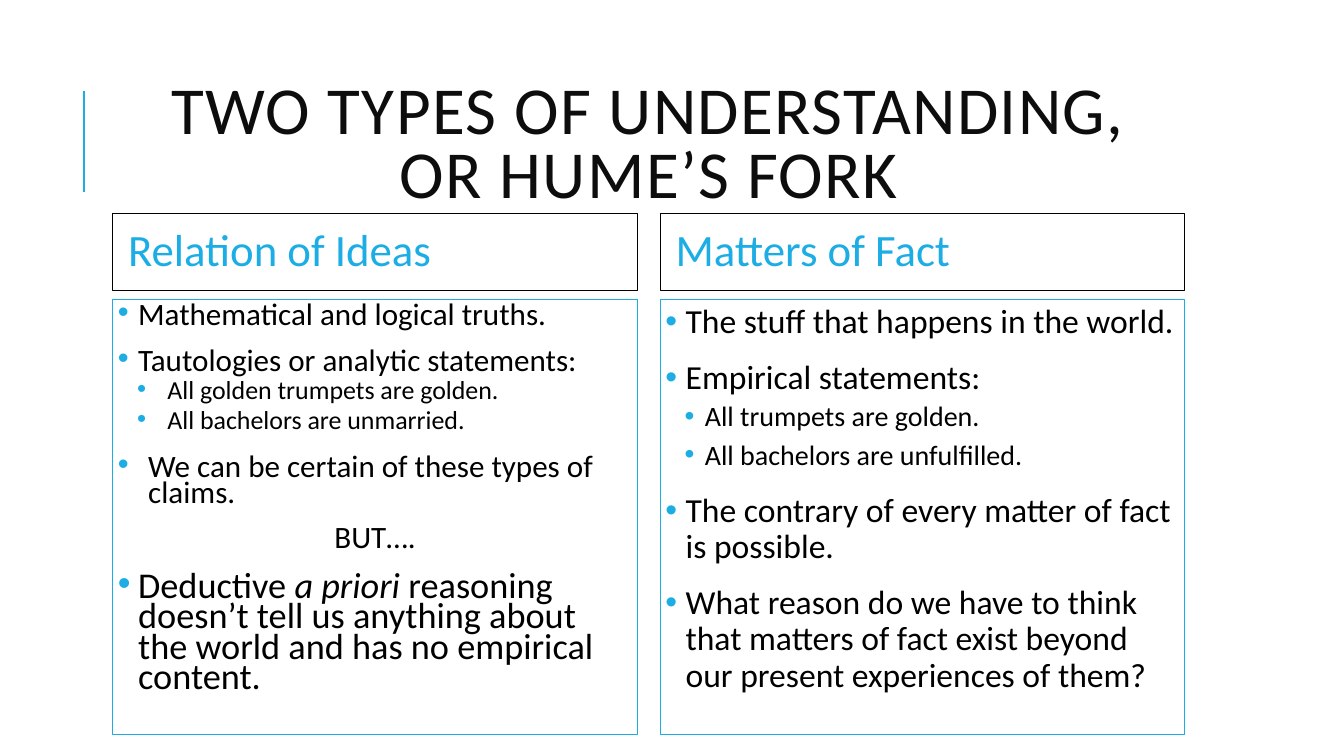
from dataclasses import dataclass
from typing import Any

import pptx
import pptx.dml.color
import pptx.enum.shapes
import pptx.enum.text
import pptx.oxml
import pptx.oxml.ns
import pptx.util

Inches = pptx.util.Inches
Pt = pptx.util.Pt
ALIGN = pptx.enum.text.PP_ALIGN
ANCHOR = pptx.enum.text.MSO_ANCHOR

FONT = "Calibri"
ACCENT = "1CADE4"
BLACK = "000000"
TITLE_COLOR = "0D0D0D"
COLUMN_LEFT = 1.12
COLUMN_STEP = 5.43
COLUMN_WIDTH = 5.2


@dataclass
class Span:
    text: str
    italic: bool = False


@dataclass
class Item:
    spans: list[Span]
    size: float
    hang: float = 0.2
    level: int = 0
    bullet: bool = True


@dataclass
class Column:
    heading: str
    line_spacing: float
    items: list[Item]


COLUMNS = [
    Column("Relation of Ideas", 0.7, [
        Item([Span("Mathematical and logical truths.")], 22.2),
        Item([Span("Tautologies or analytic statements:")], 22.2),
        Item([Span("All golden trumpets are golden.")], 18.5, hang=0.3, level=1),
        Item([Span("All bachelors are unmarried.")], 18.5, hang=0.3, level=1),
        Item([Span("We can be certain of these types of claims.")], 22.2, hang=0.3),
        Item([Span("BUT….")], 22.2, bullet=False),
        Item([
            Span("Deductive "),
            Span("a priori ", italic=True),
            Span("reasoning doesn’t tell us anything about the world "
                 "and has no empirical content."),
        ], 25.9),
    ]),
    Column("Matters of Fact", 0.9, [
        Item([Span("The stuff that happens in the world.")], 24),
        Item([Span("Empirical statements:")], 24),
        Item([Span("All trumpets are golden.")], 20, level=1),
        Item([Span("All bachelors are unfulfilled.")], 20, level=1),
        Item([Span("The contrary of every matter of fact is possible.")], 24),
        Item([Span("What reason do we have to think that matters of fact "
                   "exist beyond our present experiences of them?")], 24),
    ]),
]


def color(value: str) -> pptx.dml.color.RGBColor:
    return pptx.dml.color.RGBColor.from_string(value)


def apply(target: Any, values: dict[str, Any]) -> None:
    for name, value in values.items():
        setattr(target, name, value)


def place(box: Any, left: float, top: float, width: float, height: float,
          anchor: Any, side: float = 0.1) -> None:
    apply(box, {"left": Inches(left), "top": Inches(top),
                "width": Inches(width), "height": Inches(height)})
    apply(box.text_frame, {
        "word_wrap": True,
        "auto_size": pptx.enum.text.MSO_AUTO_SIZE.NONE,
        "vertical_anchor": anchor,
        "margin_left": Inches(side), "margin_right": Inches(side),
        "margin_top": Inches(0.05), "margin_bottom": Inches(0.05),
    })


def outline(box: Any, value: str) -> None:
    box.line.color.rgb = color(value)
    box.line.width = Pt(0.75)


def format_para(para: Any, align: Any, line_spacing: float,
                before: float = 0, after: float = 0) -> None:
    apply(para, {"alignment": align, "line_spacing": line_spacing,
                 "space_before": Pt(before), "space_after": Pt(after)})


def set_bullet(para: Any, shown: bool, margin: float = 0, hang: float = 0) -> None:
    properties = para._p.get_or_add_pPr()
    properties.set("marL", str(Inches(margin)))
    properties.set("indent", str(-Inches(hang)))
    namespace = pptx.oxml.ns.nsdecls("a")
    marks = [
        f'<a:buClr {namespace}><a:srgbClr val="{ACCENT}"/></a:buClr>',
        f'<a:buFont {namespace} typeface="Arial"/>',
        f'<a:buChar {namespace} char="•"/>',
    ] if shown else [f"<a:buNone {namespace}/>"]
    for mark in marks:
        properties.append(pptx.oxml.parse_xml(mark))


def add_span(para: Any, span: Span, size: float, value: str) -> Any:
    run = para.add_run()
    run.text = span.text
    apply(run.font, {"name": FONT, "size": Pt(size),
                     "bold": False, "italic": span.italic})
    run.font.color.rgb = color(value)
    return run


def draw_title(box: Any) -> None:
    place(box, 1.12, 0.64, 10.63, 1.64, ANCHOR.MIDDLE)
    para = box.text_frame.paragraphs[0]
    format_para(para, ALIGN.CENTER, 0.8)
    title = Span("TWO TYPES OF UNDERSTANDING, OR HUME’S FORK")
    run = add_span(para, title, 48, TITLE_COLOR)
    run.font._element.set("spc", "100")


def draw_heading(box: Any, text: str, left: float) -> None:
    place(box, left, 2.12, COLUMN_WIDTH, 0.76, ANCHOR.MIDDLE, 0.15)
    outline(box, BLACK)
    para = box.text_frame.paragraphs[0]
    format_para(para, ALIGN.LEFT, 0.9)
    set_bullet(para, False)
    add_span(para, Span(text), 32, ACCENT)


def draw_list(box: Any, column: Column, left: float) -> None:
    place(box, left, 2.97, COLUMN_WIDTH, 4.32, ANCHOR.TOP, 0.05)
    outline(box, ACCENT)
    frame = box.text_frame
    for index, item in enumerate(column.items):
        para = frame.add_paragraph() if index else frame.paragraphs[0]
        para.level = item.level
        before, after = (2, 4) if item.level else (12, 2)
        format_para(para, ALIGN.LEFT if item.bullet else ALIGN.CENTER,
                    column.line_spacing, before if index else 0, after)
        if item.bullet:
            set_bullet(para, True, item.hang + 0.19 * item.level, item.hang)
        else:
            set_bullet(para, False)
        for span in item.spans:
            add_span(para, span, item.size, BLACK)


def draw_rule(page: Any) -> None:
    rule = page.shapes.add_connector(
        pptx.enum.shapes.MSO_CONNECTOR.STRAIGHT,
        Inches(0.83), Inches(1.9), Inches(0.83), Inches(0.9))
    rule.line.color.rgb = color(ACCENT)
    rule.line.width = Pt(1.5)
    namespace = pptx.oxml.ns.nsdecls("a")
    rule._element.spPr.append(pptx.oxml.parse_xml(f"<a:effectLst {namespace}/>"))


def main() -> None:
    deck = pptx.Presentation()
    deck.slide_width = Inches(13.33)
    deck.slide_height = Inches(7.5)
    page = deck.slides.add_slide(deck.slide_layouts.get_by_name("Comparison"))
    draw_rule(page)
    draw_title(page.shapes.title)
    for index, column in enumerate(COLUMNS):
        left = COLUMN_LEFT + index * COLUMN_STEP
        draw_heading(page.placeholders[2 * index + 1], column.heading, left)
        draw_list(page.placeholders[2 * index + 2], column, left)
    deck.save("out.pptx")


if __name__ == "__main__":
    main()
